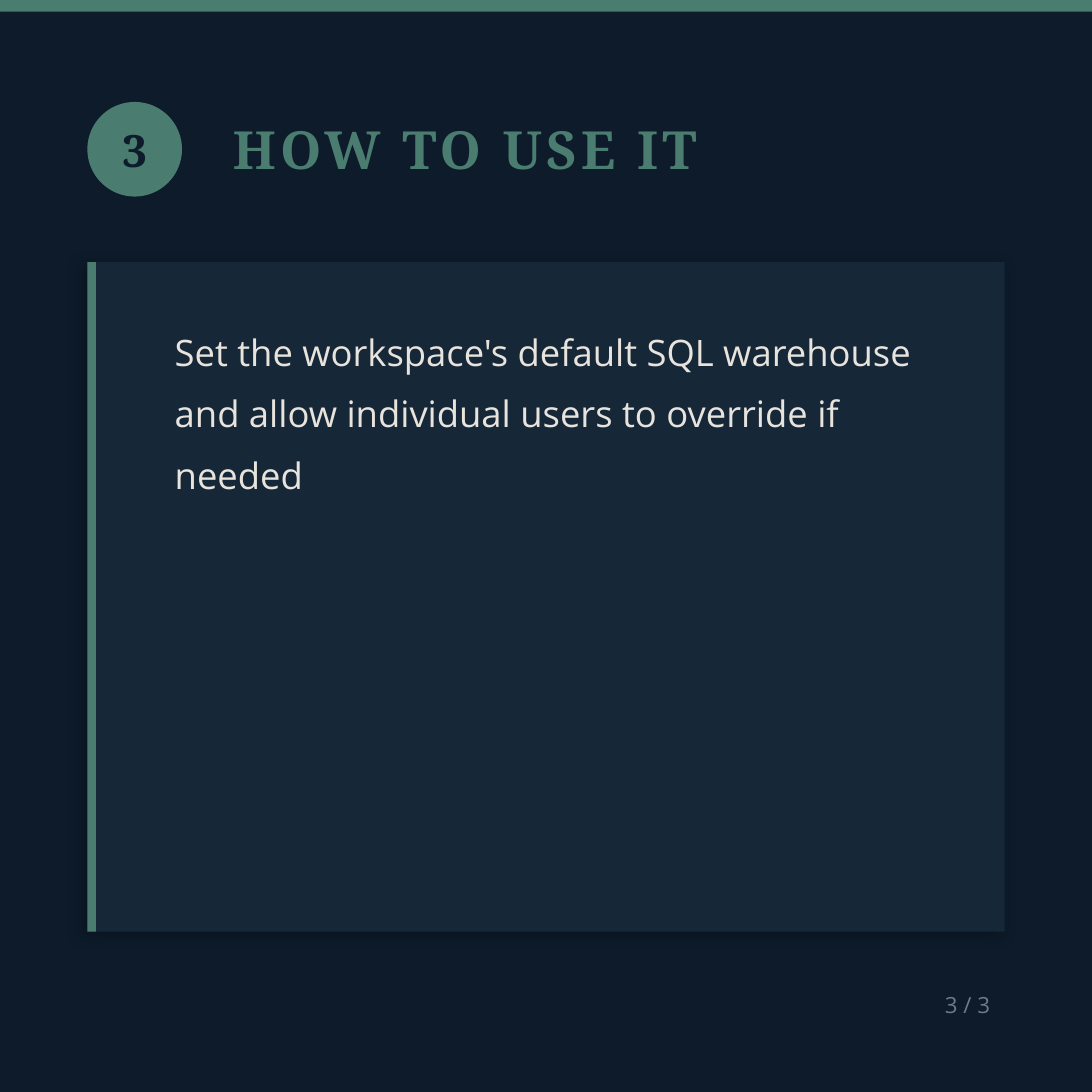
"""Build the "How to use it" slide, third of three."""
from dataclasses import dataclass

from lxml.etree import SubElement
from pptx import Presentation
from pptx.dml.color import RGBColor
from pptx.enum.shapes import MSO_SHAPE as SHAPE
from pptx.enum.text import MSO_ANCHOR as ANCHOR, MSO_AUTO_SIZE as AUTO, PP_ALIGN as ALIGN
from pptx.oxml import parse_xml
from pptx.oxml.ns import nsdecls, qn
from pptx.shapes.autoshape import Shape
from pptx.slide import Slide
from pptx.util import Pt

NAVY, PANEL, GREEN, CREAM, GREY = "0D1B2A", "162738", "4A7C6F", "E8E4DD", "6B7C8A"
SERIF, SANS = "Noto Serif", "Open Sans"
SIDE, MARGIN = 540, 43.2
CARD_TOP, CARD_W, CARD_H = 129.6, SIDE - 2 * MARGIN, 331.2


@dataclass
class Box:
    left: float
    top: float
    width: float
    height: float


@dataclass
class Block:
    kind: SHAPE
    box: Box
    color: str


@dataclass
class Label:
    text: str
    size: float
    font: str
    color: str
    bold: bool = False
    align: ALIGN = ALIGN.LEFT
    anchor: ANCHOR = ANCHOR.MIDDLE
    line_spacing: float = 1.0


BAR = Block(SHAPE.RECTANGLE, Box(0, 0, SIDE, 5.76), GREEN)
BADGE = Block(SHAPE.OVAL, Box(MARGIN, 50.4, 46.8, 46.8), GREEN)
CARD = Block(SHAPE.RECTANGLE, Box(MARGIN, CARD_TOP, CARD_W, CARD_H), PANEL)
ACCENT = Block(SHAPE.RECTANGLE, Box(MARGIN, CARD_TOP, 4.32, CARD_H), GREEN)


def rgb(color: str) -> RGBColor:
    return RGBColor.from_string(color)


def add_block(slide: Slide, block: Block) -> Shape:
    b = block.box
    sp = slide.shapes.add_shape(block.kind, Pt(b.left), Pt(b.top), Pt(b.width), Pt(b.height))
    sp.shadow.inherit = False
    sp.fill.solid()
    sp.fill.fore_color.rgb = rgb(block.color)
    sp.line.fill.background()
    return sp


def place(sp: Shape, box: Box) -> None:
    sp.left, sp.top = Pt(box.left), Pt(box.top)
    sp.width, sp.height = Pt(box.width), Pt(box.height)


def write(sp: Shape, label: Label) -> None:
    tf = sp.text_frame
    tf.text = label.text
    tf.word_wrap = True
    tf.auto_size = AUTO.NONE
    tf.vertical_anchor = label.anchor
    p = tf.paragraphs[0]
    p.alignment = label.align
    p.line_spacing = label.line_spacing
    p.space_before = Pt(0)
    font = p.runs[0].font
    font.name, font.size, font.bold = label.font, Pt(label.size), label.bold
    font.color.rgb = rgb(label.color)


def add_card_shadow(sp: Shape) -> None:
    effects = sp.element.spPr.find(qn("a:effectLst"))
    effects.append(parse_xml(
        f'<a:outerShdw {nsdecls("a")} blurRad="{Pt(8)}" dist="{Pt(3)}" dir="{135 * 60000}" '
        'algn="bl" rotWithShape="0"><a:srgbClr val="000000"><a:alpha val="25000"/>'
        '</a:srgbClr></a:outerShdw>'))


def remove_bullet(sp: Shape) -> None:
    pPr = sp.text_frame.paragraphs[0]._p.get_or_add_pPr()
    pPr.set("marL", "0")
    pPr.set("indent", "0")
    SubElement(pPr, qn("a:buNone"))


def main() -> None:
    prs = Presentation()
    prs.slide_width = prs.slide_height = Pt(SIDE)
    slide = prs.slides.add_slide(prs.slide_layouts[1])
    slide.background.fill.solid()
    slide.background.fill.fore_color.rgb = rgb(NAVY)

    title, body = slide.placeholders
    place(title, Box(108, 51.84, 388.8, 43.2))
    write(title, Label("HOW TO USE IT", 26, SERIF, GREEN, bold=True))
    title.text_frame.paragraphs[0].runs[0].font._element.set("spc", "200")

    add_block(slide, BAR)
    badge = add_block(slide, BADGE)
    tf = badge.text_frame
    tf.margin_left = tf.margin_right = tf.margin_top = tf.margin_bottom = Pt(0)
    write(badge, Label("3", 22, SERIF, NAVY, bold=True, align=ALIGN.CENTER))
    add_card_shadow(add_block(slide, CARD))
    accent = add_block(slide, ACCENT)

    accent.element.addnext(body.element)
    place(body, Box(79.2, 151.2, 396, 288))
    write(body, Label("Set the workspace's default SQL warehouse and allow individual users "
                      "to override if needed", 18, SANS, CREAM,
                      anchor=ANCHOR.TOP, line_spacing=1.4))
    remove_bullet(body)

    page = slide.shapes.add_textbox(Pt(MARGIN), Pt(482.4), Pt(CARD_W), Pt(28.8))
    write(page, Label("3 / 3", 11, SANS, GREY, align=ALIGN.RIGHT))
    prs.save("out.pptx")


if __name__ == "__main__":
    main()
